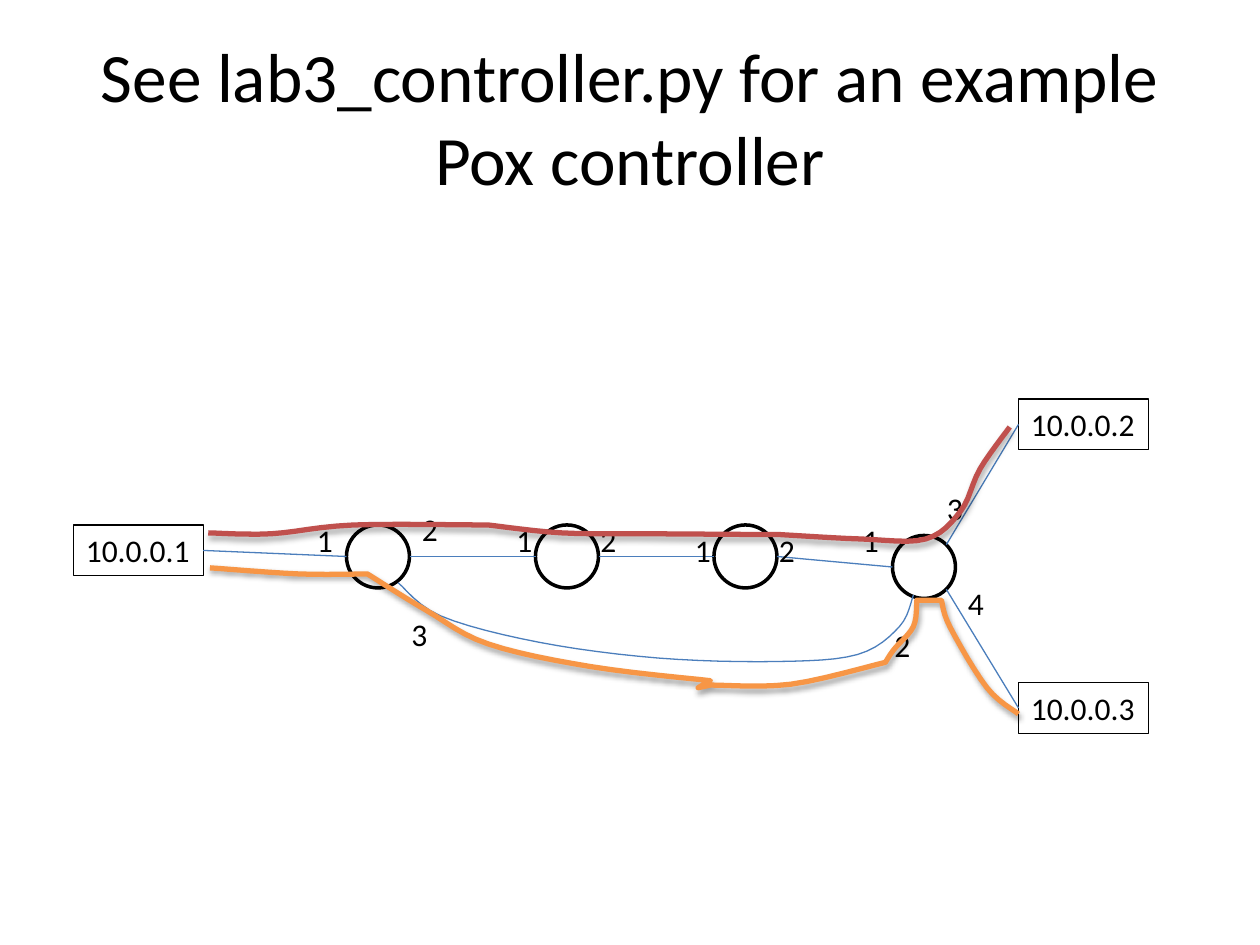
"""Build a slide showing two routed paths through a four-switch network."""
from pptx import Presentation
from pptx.dml.color import RGBColor
from pptx.enum.shapes import MSO_CONNECTOR, MSO_SHAPE
from pptx.enum.text import MSO_ANCHOR, MSO_AUTO_SIZE, PP_ALIGN
from pptx.oxml.ns import qn
from pptx.util import Pt
from lxml import etree

STRAIGHT, OVAL = MSO_CONNECTOR.STRAIGHT, MSO_SHAPE.OVAL
MIDDLE, GROW = MSO_ANCHOR.MIDDLE, MSO_AUTO_SIZE.SHAPE_TO_FIT_TEXT
LEFT, CENTER = PP_ALIGN.LEFT, PP_ALIGN.CENTER
SIDE_LEFT, SIDE_RIGHT = 1, 3
BLACK, BLUE, RED, ORANGE = "000000", "4B7EBC", "C0504D", "F79646"
BOX_H, HOST_W, PORT_W, SWITCH_D = 29.08, 74.16, 23.7, 36
THIN, MEDIUM, THICK = 0.75, 2, 3
STEPS = 6

TITLE = "See lab3_controller.py for an example Pox controller"
HOSTS = [("10.0.0.1", 42, 300), ("10.0.0.2", 582, 228), ("10.0.0.3", 582, 390)]
SWITCHES = [
    {"at": (198, 300), "ports": [("1", -24, -6), ("2", 36, -12), ("3", 30, 48)]},
    {"at": (306, 300), "ports": [("1", -18, -6), ("2", 30, -6)]},
    {"at": (408, 300), "ports": [("1", -18, 0), ("2", 30, 0)]},
    {"at": (510, 306), "ports": [("1", -24, -12), ("3", 24, -30),
                                 ("4", 36, 24), ("2", -6, 48)]},
]
BACKUP_LINK = {
    "first to last switch": [(227.5, 333), (252, 352), (308, 367), (376, 376),
                             (444, 378), (490, 374), (514, 358), (522, 340)],
}
UPPER_ROUTE = {
    "host 1 to first switch": [(119, 304.5), (155, 305), (202, 300), (279, 300)],
    "past middle switches": [(321, 304.5), (372, 305), (446, 305.5)],
    "last switch to host 2": [(492, 308), (529, 308), (549, 292), (560, 268), (577, 244)],
}
LOWER_ROUTE = {
    "host 1 to first switch": [(120, 324.5), (171, 328), (210, 328)],
    "down along backup link": [(244, 349), (279, 368), (338, 381), (406, 389)],
    "hook back": [(399, 393)],
    "hook forward": [(406, 391.5)],
    "along the bottom": [(452, 391), (506, 378.5)],
    "up to last switch": [(511, 371), (522, 358), (524, 343)],
    "under last switch": [(538, 343)],
    "down to host 3": [(543, 358.5), (564, 393), (582, 408)],
}


def rgb(value):
    return RGBColor.from_string(value)


def set_line(sp, color, width):
    sp.line.color.rgb = rgb(color)
    sp.line.width = Pt(width)


def add_text(shapes, text, x, y, w, h, size=18, align=LEFT):
    sp = shapes.add_textbox(Pt(x), Pt(y), Pt(w), Pt(h))
    tf = sp.text_frame
    tf.text = text
    tf.word_wrap = False
    p = tf.paragraphs[0]
    p.alignment = align
    font = p.runs[0].font
    font.name, font.size = "Calibri", Pt(size)
    font.color.rgb = rgb(BLACK)
    return sp


def add_link(shapes, start, end):
    sp = shapes.add_connector(STRAIGHT, *(Pt(v) for v in (*start, *end)))
    set_line(sp, BLUE, THIN)
    etree.SubElement(sp._element.spPr, qn("a:effectLst"))
    return sp


def spline(a, b, c, d, t):
    """Return the Catmull-Rom value between b and c at fraction t."""
    return b + t / 2 * (c - a + t * (2 * a - 5 * b + 4 * c - d
                                     + t * (3 * (b - c) + d - a)))


def smooth(points):
    """Return points on a smooth curve through the given points."""
    padded = [points[0], *points, points[-1]]
    curve = [points[0]]
    for window in zip(padded, padded[1:], padded[2:], padded[3:]):
        xs, ys = zip(*window)
        for i in range(1, STEPS + 1):
            curve.append((spline(*xs, i / STEPS), spline(*ys, i / STEPS)))
    return curve


def trace(route):
    """Join the smooth legs of a route, each starting where the last one ended."""
    curve = []
    for leg in route.values():
        curve += smooth(curve[-1:] + leg)
    return curve


def add_route(shapes, route, color, width):
    start, *rest = [(Pt(x), Pt(y)) for x, y in trace(route)]
    builder = shapes.build_freeform(*start)
    builder.add_line_segments(rest, close=False)
    sp = builder.convert_to_shape()
    sp.shadow.inherit = False
    sp.fill.background()
    set_line(sp, color, width)
    return sp


def add_shadow(sp):
    effects = sp._element.spPr.find(qn("a:effectLst"))
    shadow = etree.SubElement(effects, qn("a:outerShdw"), blurRad=str(Pt(3.1)),
                              dist=str(Pt(1.8)), dir="5400000", rotWithShape="0")
    color = etree.SubElement(shadow, qn("a:srgbClr"), val=BLACK)
    etree.SubElement(color, qn("a:alpha"), val="35000")


def add_switch(shapes, x, y):
    sp = shapes.add_shape(OVAL, Pt(x), Pt(y), Pt(SWITCH_D), Pt(SWITCH_D))
    sp.shadow.inherit = False
    sp.fill.background()
    set_line(sp, BLACK, MEDIUM)


def add_host(shapes, text, x, y):
    sp = add_text(shapes, text, x, y, HOST_W, BOX_H)
    sp.text_frame.auto_size = GROW
    set_line(sp, BLACK, THIN)
    return sp


def add_links(shapes, hosts):
    r = SWITCH_D / 2
    centers = [(x + r, y + r) for x, y in (switch["at"] for switch in SWITCHES)]
    lefts = [(x - r, y) for x, y in centers]
    rights = [(x + r, y) for x, y in centers]
    _, x, y = HOSTS[0]
    link = add_link(shapes, (x + HOST_W, y + BOX_H / 2), lefts[0])
    link.begin_connect(hosts[0], SIDE_RIGHT)
    for start, end in zip(rights, lefts[1:]):
        add_link(shapes, start, end)

    last_x, last_y = centers[-1]
    diagonal = r * 0.71
    for host, (_, x, y), side in zip(hosts[1:], HOSTS[1:], (-1, 1)):
        start = (last_x + diagonal, last_y + side * diagonal)
        link = add_link(shapes, start, (x, y + BOX_H / 2))
        link.end_connect(host, SIDE_LEFT)


def main():
    prs = Presentation()
    prs.slide_width, prs.slide_height = Pt(720), Pt(540)
    shapes = prs.slides.add_slide(prs.slide_layouts[6]).shapes

    tf = add_text(shapes, TITLE, 36, 21.6, 648, 90, 39.6, CENTER).text_frame
    tf.word_wrap = True
    tf.vertical_anchor = MIDDLE

    for switch in SWITCHES:
        add_switch(shapes, *switch["at"])
    add_links(shapes, [add_host(shapes, *host) for host in HOSTS])
    add_route(shapes, BACKUP_LINK, BLUE, THIN)
    for switch in SWITCHES:
        x, y = switch["at"]
        for text, dx, dy in switch["ports"]:
            sp = add_text(shapes, text, x + dx, y + dy, PORT_W, BOX_H)
            sp.text_frame.auto_size = GROW
    for route, color in ((UPPER_ROUTE, RED), (LOWER_ROUTE, ORANGE)):
        add_shadow(add_route(shapes, route, color, THICK))

    prs.save("out.pptx")


if __name__ == "__main__":
    main()
